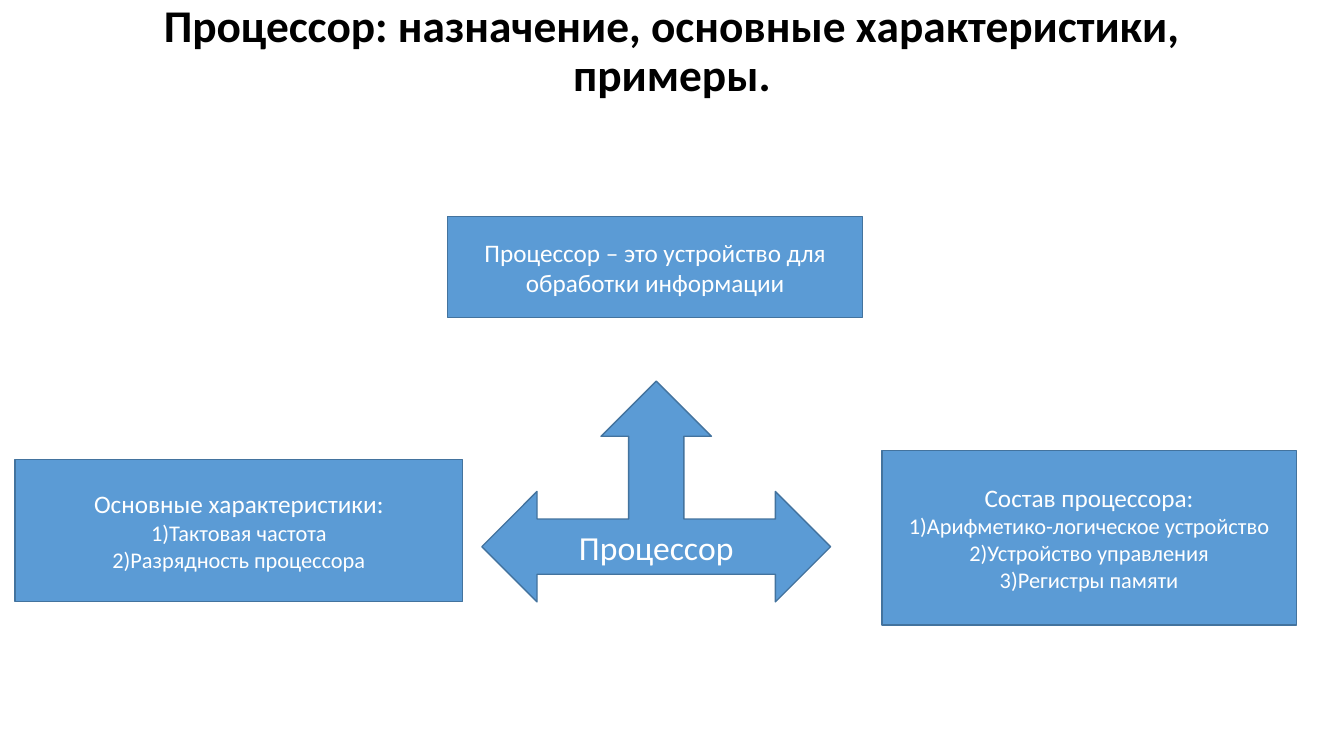
from dataclasses import dataclass

from pptx import Presentation
from pptx.dml.color import RGBColor
from pptx.enum.shapes import MSO_SHAPE
from pptx.enum.text import MSO_ANCHOR, PP_ALIGN
from pptx.slide import Slide
from pptx.text.text import TextFrame
from pptx.util import Pt


@dataclass(frozen=True)
class Theme:
    font: str = "Calibri"
    fill: RGBColor = RGBColor(0x5B, 0x9B, 0xD5)
    outline: RGBColor = RGBColor(0x43, 0x73, 0x9E)
    title_ink: RGBColor = RGBColor(0, 0, 0)
    block_ink: RGBColor = RGBColor(0xFF, 0xFF, 0xFF)
    outline_width: float = 1
    title_size: float = 32.4
    center_size: float = 24
    heading_size: float = 18
    item_size: float = 16


THEME = Theme()


@dataclass(frozen=True)
class Block:
    """A filled shape: bounds in points, a heading and the items below it."""

    left: float
    top: float
    width: float
    height: float
    heading: str
    items: tuple[str, ...] = ()
    preset: MSO_SHAPE = MSO_SHAPE.RECTANGLE
    heading_size: float = THEME.heading_size


TITLE = "Процессор: назначение, основные характеристики, примеры."

BLOCKS = (
    Block(319.7, 154.8, 296.6, 72,
          "Процессор – это устройство для обработки информации"),
    Block(630, 321.8, 295.9, 124.6, "Состав процессора:",
          ("1)Арифметико-логическое устройство",
           "2)Устройство управления",
           "3)Регистры памяти")),
    Block(10.8, 328.3, 319.7, 101.5, "Основные характеристики:",
          ("1)Тактовая частота", "2)Разрядность процессора")),
    Block(344.2, 272.2, 249.1, 157.7, "Процессор",
          preset=MSO_SHAPE.LEFT_RIGHT_UP_ARROW,
          heading_size=THEME.center_size),
)


def write_lines(frame: TextFrame, lines: list[tuple[str, float]],
                ink: RGBColor, bold: bool = False) -> None:
    """Write each (text, size) pair as a centred paragraph."""
    frame.word_wrap = True
    for index, (text, size) in enumerate(lines):
        paragraph = frame.add_paragraph() if index else frame.paragraphs[0]
        paragraph.alignment = PP_ALIGN.CENTER
        run = paragraph.add_run()
        run.text = text
        run.font.name = THEME.font
        run.font.size = Pt(size)
        run.font.bold = bold
        run.font.color.rgb = ink


def draw_title(slide: Slide) -> None:
    title = slide.shapes.add_textbox(Pt(66), Pt(28.8), Pt(828), Pt(65.5))
    frame = title.text_frame
    write_lines(frame, [(TITLE, THEME.title_size)], THEME.title_ink, bold=True)
    frame.paragraphs[0].line_spacing = 0.9
    frame.vertical_anchor = MSO_ANCHOR.BOTTOM
    frame.margin_bottom = Pt(22)


def draw_block(slide: Slide, block: Block) -> None:
    shape = slide.shapes.add_shape(block.preset, Pt(block.left), Pt(block.top),
                                   Pt(block.width), Pt(block.height))
    shape.shadow.inherit = False
    shape.fill.solid()
    shape.fill.fore_color.rgb = THEME.fill
    shape.line.color.rgb = THEME.outline
    shape.line.width = Pt(THEME.outline_width)
    shape.text_frame.vertical_anchor = MSO_ANCHOR.MIDDLE
    lines = [(block.heading, block.heading_size)]
    lines += [(item, THEME.item_size) for item in block.items]
    write_lines(shape.text_frame, lines, THEME.block_ink)


def main() -> None:
    presentation = Presentation()
    presentation.slide_width = Pt(960)
    presentation.slide_height = Pt(540)
    slide = presentation.slides.add_slide(presentation.slide_layouts[6])
    draw_title(slide)
    for block in BLOCKS:
        draw_block(slide, block)
    presentation.save("out.pptx")


if __name__ == "__main__":
    main()
